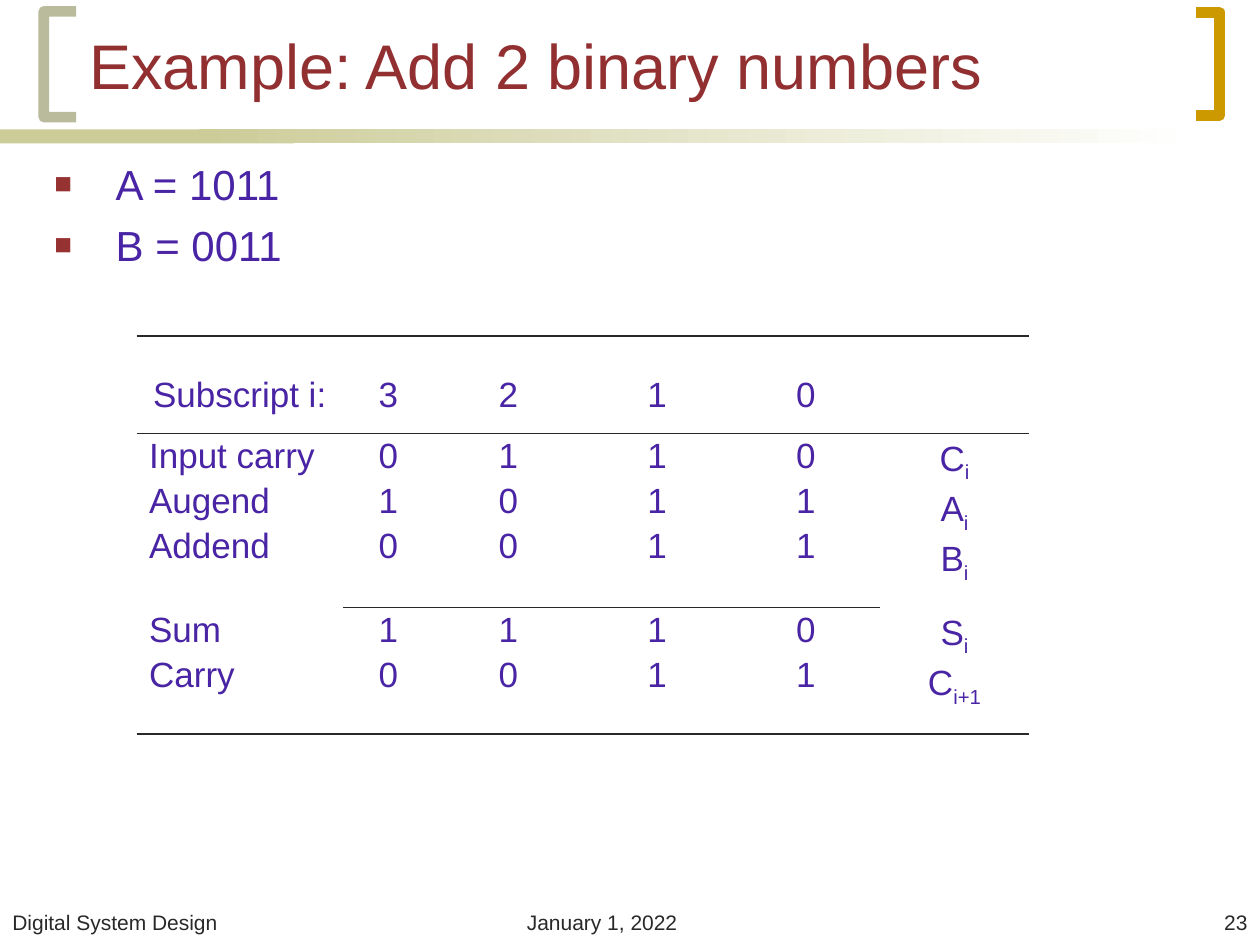
from lxml.etree import SubElement
from pptx import Presentation
from pptx.dml.color import RGBColor
from pptx.enum.shapes import MSO_SHAPE
from pptx.enum.text import MSO_ANCHOR, PP_ALIGN
from pptx.oxml.ns import qn
from pptx.util import Pt

FONT = "Arial"
TITLE_RED = "912F31"
BULLET_RED = "963232"
PURPLE = "4924A4"
DARK = "292929"
SAND = "CCCC99"
OLIVE = "929565"
GOLD = "CC9900"
WHITE = "FFFFFF"
THICK, THIN = 0.75, 0.23

# One list of paragraphs per cell; "_" starts a subscript
TABLE_ROWS = [
    [["Subscript i:"], ["3"], ["2"], ["1"], ["0"], []],
    [["Input carry", "Augend", "Addend"], ["0", "1", "0"], ["1", "0", "0"],
     ["1", "1", "1"], ["0", "1", "1"], ["C_i", "A_i", "B_i"]],
    [["Sum", "Carry"], ["1", "0"], ["1", "0"], ["1", "1"], ["0", "1"],
     ["S_i", "C_i+1"]],
]
COLUMN_WIDTHS = [118, 52, 85, 85, 85, 85]
ROW_HEIGHTS = [55.5, 99.5, 72.5]


def color(value):
    return RGBColor.from_string(value)


def format_font(font, size, value):
    font.name = FONT
    font.size = Pt(size)
    font.color.rgb = color(value)


def add_text(slide, box, lines, size, value, align=PP_ALIGN.LEFT, anchor=MSO_ANCHOR.TOP):
    text_box = slide.shapes.add_textbox(*map(Pt, box))
    text_frame = text_box.text_frame
    text_frame.word_wrap = True
    text_frame.vertical_anchor = anchor
    text_frame.text = "\n".join(lines)
    for paragraph in text_frame.paragraphs:
        paragraph.alignment = align
        for run in paragraph.runs:
            format_font(run.font, size, value)
    return text_frame


def add_bar(slide, box):
    left, top, width, height = box
    # Solid start, then a fade to white
    for offset, bar_width, fades in ((0, 168, False), (114, width - 114, True)):
        shape = slide.shapes.add_shape(
            MSO_SHAPE.RECTANGLE, Pt(left + offset), Pt(top), Pt(bar_width), Pt(height))
        shape.shadow.inherit = False
        shape.line.fill.background()
        if fades:
            shape.fill.gradient()
            shape.fill.gradient_angle = 0
            for stop, value in zip(shape.fill.gradient_stops, (SAND, WHITE)):
                stop.color.rgb = color(value)
        else:
            shape.fill.solid()
            shape.fill.fore_color.rgb = color(SAND)


def add_bracket(slide, box, value, opens_right, opacity=100):
    left, top, width, height = box
    right, bottom = left + width, top + height
    tip, spine = (right, left) if opens_right else (left, right)
    builder = slide.shapes.build_freeform(Pt(tip), Pt(top))
    corners = [(spine, top), (spine, bottom), (tip, bottom)]
    builder.add_line_segments([(Pt(x), Pt(y)) for x, y in corners], close=False)
    shape = builder.convert_to_shape()
    shape.shadow.inherit = False
    shape.fill.background()
    shape.line.width = Pt(6)
    shape.line.color.rgb = color(value)
    if opacity < 100:
        line_color = shape.line._ln.find(".//" + qn("a:srgbClr"))
        SubElement(line_color, qn("a:alpha"), val=str(opacity * 1000))


def add_header(slide, box):
    left, top, width, height = box
    add_bar(slide, (left, top + 74, 684, 8))
    add_bracket(slide, (left + 25, top + 6.5, 18.5, 60.5), OLIVE, True, 63)
    add_bracket(slide, (left + 683.5, top + 7, 13.5, 59), GOLD, False)
    add_text(slide, (left + 44, top + 8, 640, 54), ["Example: Add 2 binary numbers"],
             36, TITLE_RED, anchor=MSO_ANCHOR.BOTTOM)


def add_bullets(slide, box, lines):
    text_frame = add_text(slide, box, lines, 24, PURPLE)
    for index, paragraph in enumerate(text_frame.paragraphs):
        if index:
            paragraph.space_before = Pt(6)
        properties = paragraph._p.get_or_add_pPr()
        properties.set("marL", str(Pt(35)))
        properties.set("indent", str(-Pt(35)))
        bullet_color = SubElement(properties, qn("a:buClr"))
        SubElement(bullet_color, qn("a:srgbClr"), val=BULLET_RED)
        SubElement(properties, qn("a:buSzPct"), val="70000")
        SubElement(properties, qn("a:buFont"), typeface=FONT)
        SubElement(properties, qn("a:buChar"), char="■")


def set_borders(cell, top, bottom):
    properties = cell._tc.get_or_add_tcPr()
    for side, width in (("L", 0), ("R", 0), ("T", top), ("B", bottom)):
        line = SubElement(properties, qn("a:ln" + side), w=str(Pt(width)))
        if width:
            fill = SubElement(line, qn("a:solidFill"))
            SubElement(fill, qn("a:srgbClr"), val=DARK)
        else:
            SubElement(line, qn("a:noFill"))


def fill_cell(cell, lines, align):
    text_frame = cell.text_frame
    for index, line in enumerate(lines):
        paragraph = text_frame.add_paragraph() if index else text_frame.paragraphs[0]
        paragraph.alignment = align
        paragraph.line_spacing = 0.93
        if index:
            paragraph.space_before = Pt(5)
        for part, text in enumerate(line.split("_")):
            run = paragraph.add_run()
            run.text = text
            format_font(run.font, 20, PURPLE)
            if part:
                run.font._element.set("baseline", "-25000")


def add_addition_table(slide, box):
    table = slide.shapes.add_table(
        len(ROW_HEIGHTS), len(COLUMN_WIDTHS), *map(Pt, box)).table
    table.first_row = table.horz_banding = False
    for column, width in zip(table.columns, COLUMN_WIDTHS):
        column.width = Pt(width)
    for row, height in zip(table.rows, ROW_HEIGHTS):
        row.height = Pt(height)
    for row, contents in enumerate(TABLE_ROWS):
        for column, lines in enumerate(contents):
            cell = table.cell(row, column)
            # The rule above the sum spans the digit columns only
            sum_rule = THIN if 1 <= column <= 4 else 0
            rules = [THICK, THIN, sum_rule, THICK]
            set_borders(cell, rules[row], rules[row + 1])
            cell.fill.background()
            cell.margin_top = Pt(3.6 if row else 24)
            is_label = column == 0 and row > 0
            fill_cell(cell, lines, PP_ALIGN.LEFT if is_label else PP_ALIGN.CENTER)


def add_footer(slide, box):
    left, top, width, height = box
    add_text(slide, (left + 294, top, 150, height), ["January 1, 2022"], 12, DARK)
    add_text(slide, (left, top, 258, height), ["Digital System Design"], 12, DARK)
    add_text(slide, (left + width - 150, top, 150, height), ["23"], 12, DARK,
             PP_ALIGN.RIGHT)


def main():
    presentation = Presentation()
    presentation.slide_width, presentation.slide_height = Pt(720), Pt(540)
    slide = presentation.slides.add_slide(presentation.slide_layouts[6])
    add_header(slide, (0, 0, 720, 82))
    add_footer(slide, (0, 516, 720, 24))
    add_bullets(slide, (24, 87, 678, 423), ["A = 1011", "B = 0011"])
    add_addition_table(slide, (78, 192, sum(COLUMN_WIDTHS), sum(ROW_HEIGHTS)))
    presentation.save("out.pptx")


if __name__ == "__main__":
    main()
